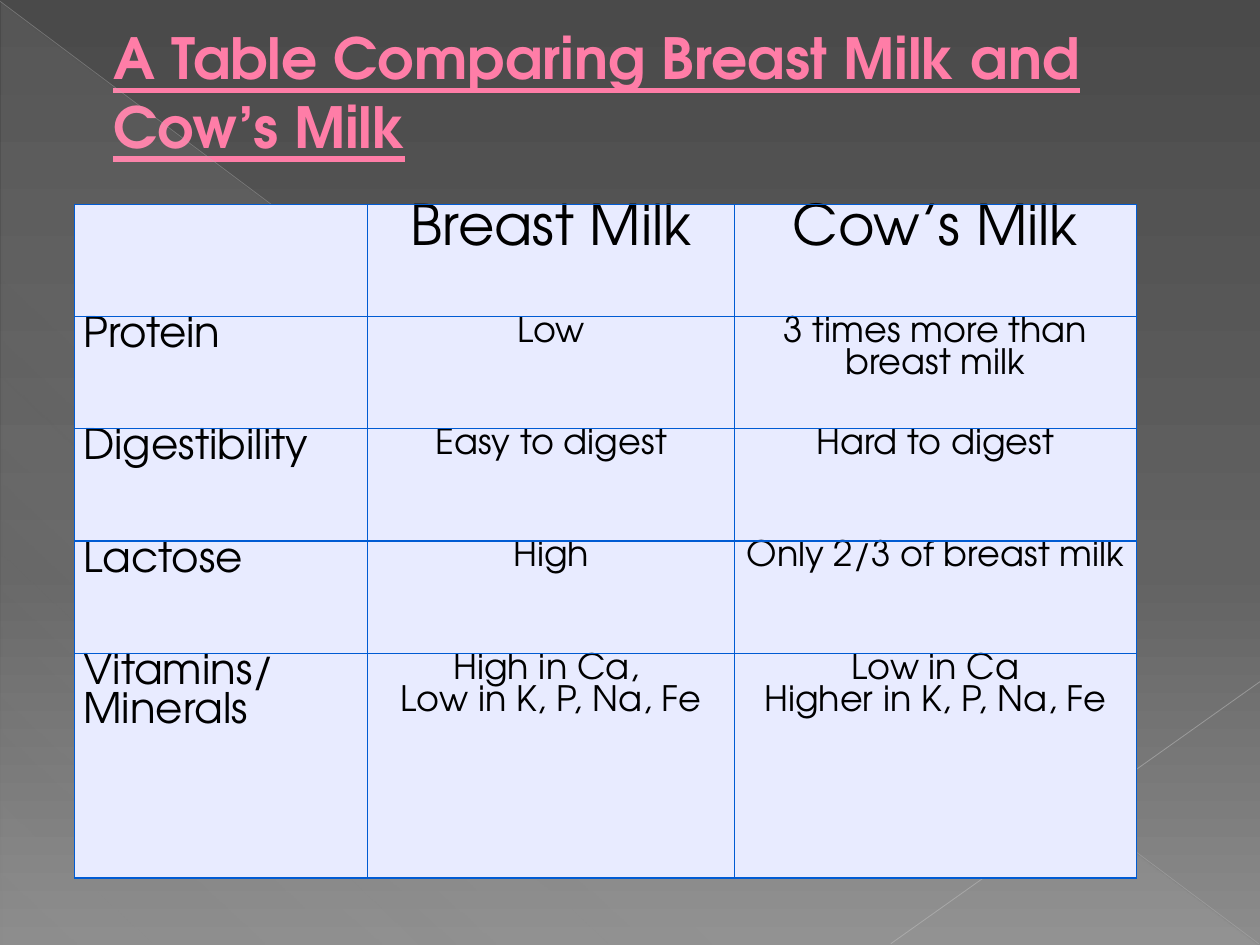
"""Build a slide with a table comparing breast milk and cow's milk."""
from lxml import etree
from pptx import Presentation, util as u
from pptx.dml.color import RGBColor
from pptx.enum import shapes, text
from pptx.oxml import ns

FONT = "TeX Gyre Adventor"
HUES = {"title": "FF7DA7", "edge": "B12761", "ink": "000000",
        "cell": "E8EBFF", "grid": "005BD3"}
TITLE = "A Table Comparing Breast Milk and Cow’s Milk"
ROWS = [
    ("", "Breast Milk", "Cow’s Milk"),
    ("Protein", "Low", "3 times more than breast milk"),
    ("Digestibility", "Easy to digest", "Hard to digest"),
    ("Lactose", "High", "Only 2/3 of breast milk"),
    ("Vitamins/\nMinerals", "High in Ca, \nLow in K, P, Na, Fe",
     "Low in Ca\nHigher in K, P, Na, Fe"),
]
COLS = (2.33, 2.91, 3.19)
TALL = 5.35
SPANS = (1, 1, 1, 1, 2)
BACK = [(0, "4A4A4A", 100), (60, "626262", 100), (100, "8C8C8C", 100)]
SHEEN = [(0, "D2D2D2", 10), (70, "D2D2D2", 8), (100, "D2D2D2", 1)]
LINES = [((0, 0.01), (9.99, 7.49), "BFBFBF", 0.39, 35),
         ((10, 5.41), (7.07, 7.49), "C6C6C6", 0.47, 45)]


def add(root, tag, **attrs):
    node = etree.SubElement(root, ns.qn(tag))
    for key, val in attrs.items():
        node.set(key, str(val))
    return node


def tint(root, hue, share=100):
    node = add(root, "a:srgbClr", val=hue)
    if share < 100:
        add(node, "a:alpha", val=share * 1000)


def blend(fill, root, stops, angle):
    fill.gradient()
    fill.gradient_angle = 360 - angle
    group = next(root.iter(ns.qn("a:gsLst")))
    for old in list(group):
        group.remove(old)
    for pos, hue, share in stops:
        tint(add(group, "a:gs", pos=pos * 1000), hue, share)


def style(para, size, hue):
    font = para.font
    font.name, font.size = FONT, u.Pt(size)
    font.color.rgb = RGBColor.from_string(HUES[hue])
    return font


def add_back(slide):
    blend(slide.background.fill, slide._element, BACK, 90)
    wedge = slide.shapes.add_shape(
        shapes.MSO_SHAPE.RIGHT_TRIANGLE,
        *map(u.Inches, (0.01, 0.02, 9.98, 7.48)))
    wedge.shadow.inherit = False
    wedge.line.fill.background()
    blend(wedge.fill, wedge._element, SHEEN, 133)
    for start, end, hue, width, share in LINES:
        line = slide.shapes.add_connector(
            shapes.MSO_CONNECTOR.STRAIGHT, *map(u.Inches, start + end))
        line.line.width = u.Pt(width)
        line.line.color.rgb = RGBColor.from_string(hue)
        clr = next(line._element.spPr.iter(ns.qn("a:srgbClr")))
        add(clr, "a:alpha", val=share * 1000)
        add(line._element.spPr, "a:effectLst")


def add_title(slide):
    title = slide.shapes.title
    title.left, title.top, title.width, title.height = map(
        u.Inches, (0.28, 0.3, 9.72, 0.85))
    frame = title.text_frame
    frame.text = TITLE
    frame.word_wrap = True
    frame.auto_size = text.MSO_AUTO_SIZE.NONE
    frame.vertical_anchor = text.MSO_ANCHOR.MIDDLE
    para = frame.paragraphs[0]
    para.alignment = text.PP_ALIGN.LEFT
    props = para._p.get_or_add_pPr()
    props.set("marL", str(u.Inches(0.52)))
    props.set("indent", "0")
    font = style(para, 32.4, "title")
    font.bold = font.underline = True
    edge = add(para.runs[0]._r.get_or_add_rPr(), "a:ln", w=u.Pt(0.5))
    tint(add(edge, "a:solidFill"), HUES["edge"])


def add_grid(cell):
    props = cell._tc.get_or_add_tcPr()
    for spot, side in enumerate("LRTB"):
        line = etree.Element(ns.qn(f"a:ln{side}"), w=str(u.Pt(0.75)))
        tint(add(line, "a:solidFill"), HUES["grid"])
        props.insert(spot, line)


def add_milk(slide):
    table = slide.shapes.add_table(
        len(ROWS), len(COLS), u.Inches(0.59), u.Inches(1.62),
        u.Inches(sum(COLS)), u.Inches(TALL)).table
    for col, width in zip(table.columns, COLS):
        col.width = u.Inches(width)
    for r, (row, span) in enumerate(zip(ROWS, SPANS)):
        table.rows[r].height = u.Inches(TALL * span / sum(SPANS))
        for c, words in enumerate(row):
            cell = table.cell(r, c)
            cell.margin_left = cell.margin_right = u.Inches(0.07)
            cell.margin_top = cell.margin_bottom = 0
            cell.fill.solid()
            cell.fill.fore_color.rgb = RGBColor.from_string(HUES["cell"])
            add_grid(cell)
            cell.text = words
            size = 32 if r == 0 else 20 if c else 24
            for para in cell.text_frame.paragraphs:
                para.alignment = (text.PP_ALIGN.CENTER if c
                                  else text.PP_ALIGN.LEFT)
                style(para, size, "ink").bold = False


def main():
    deck = Presentation()
    deck.slide_width, deck.slide_height = u.Inches(10), u.Inches(7.5)
    slide = deck.slides.add_slide(deck.slide_layouts[5])
    add_back(slide)
    add_title(slide)
    add_milk(slide)
    deck.save("out.pptx")


if __name__ == "__main__":
    main()
